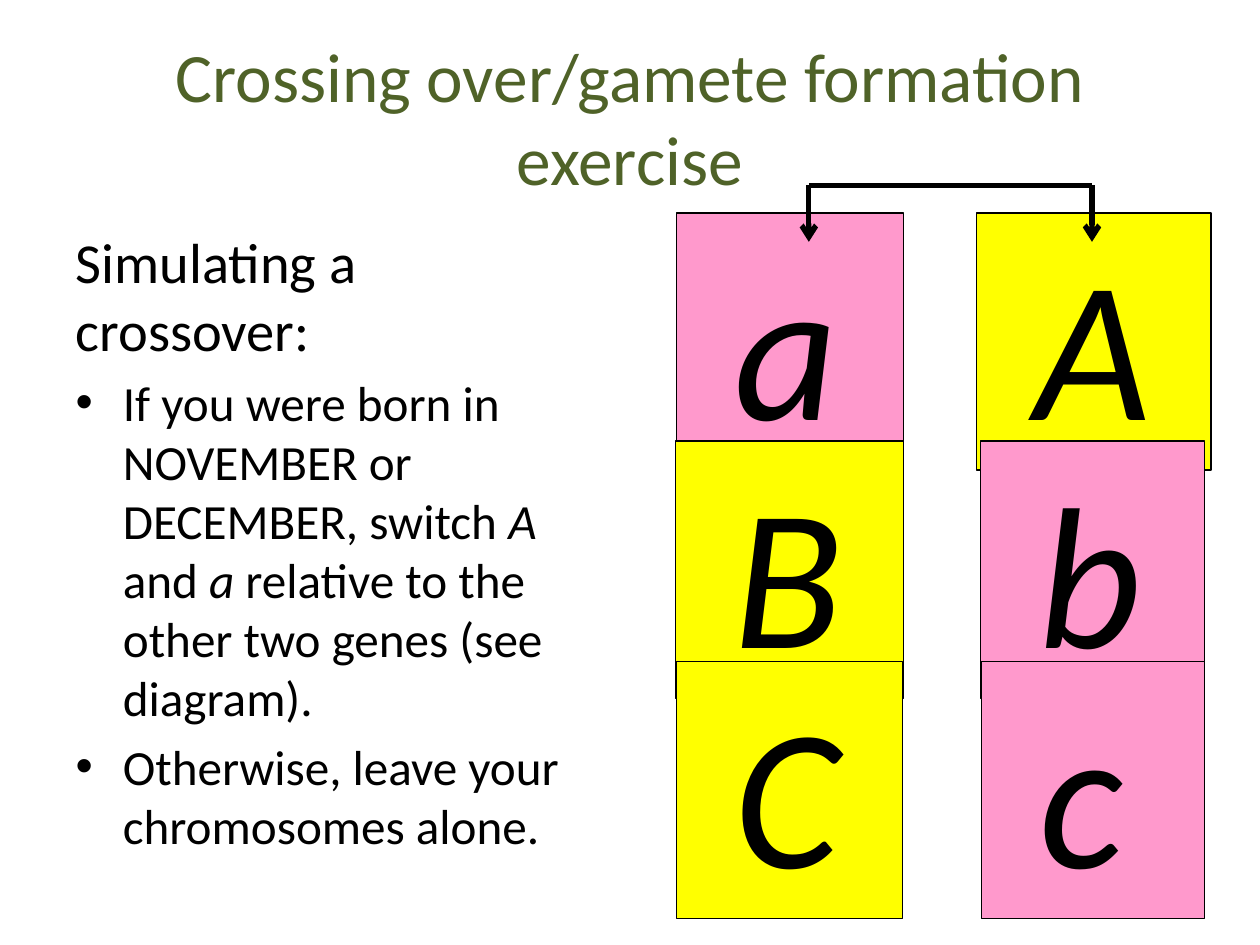
from dataclasses import dataclass

from lxml.etree import SubElement
from pptx import Presentation
from pptx.dml.color import RGBColor
from pptx.enum.shapes import MSO_CONNECTOR as Connector, MSO_SHAPE as Preset
from pptx.enum.text import MSO_ANCHOR as Anchor, MSO_AUTO_SIZE as AutoSize, PP_ALIGN as Align
from pptx.oxml.ns import qn
from pptx.util import Pt


@dataclass(frozen=True)
class Theme:
    font: str = "Calibri"
    ink: RGBColor = RGBColor(0x00, 0x00, 0x00)
    title: RGBColor = RGBColor(0x4F, 0x62, 0x28)
    yellow: RGBColor = RGBColor(0xFF, 0xFF, 0x00)
    pink: RGBColor = RGBColor(0xFF, 0x99, 0xCC)
    title_size: float = 39.6
    lead_size: float = 32.3
    bullet_size: float = 28.1
    allele_size: float = 115


THEME = Theme()
ROW_TOPS = (121.7, 252, 378)
ALLELE_HEIGHT = 147
# allele, row, left, width, colour; later cards overlap earlier ones
ALLELES = (
    ("A", 0, 558, 134, THEME.yellow),
    ("a", 0, 386.6, 129.6, THEME.pink),
    ("B", 1, 386, 130.2, THEME.yellow),
    ("C", 2, 386.6, 129, THEME.yellow),
    ("b", 1, 560.2, 128.2, THEME.pink),
    ("c", 2, 560.9, 127.4, THEME.pink),
)
LEAD = "Simulating a crossover:"
# each bullet is a list of (text, italic) runs
BULLETS = (
    [
        ("If you were born in NOVEMBER or DECEMBER, switch ", False),
        ("A ", True),
        ("and ", False),
        ("a", True),
        (" relative to the other two genes (see diagram).", False),
    ],
    [("Otherwise, leave your chromosomes alone.", False)],
)


def set_all(target, values):
    for name, value in values.items():
        setattr(target, name, value)


def set_font(font, size, color=THEME.ink, italic=False):
    set_all(font, {"name": THEME.font, "size": Pt(size), "italic": italic})
    font.color.rgb = color


def place(shape, left, top, width, height):
    set_all(shape, {"left": Pt(left), "top": Pt(top), "width": Pt(width), "height": Pt(height)})


def fill_title(title):
    place(title, 36, 21.6, 648, 90)
    frame = title.text_frame
    set_all(frame, {"auto_size": AutoSize.NONE, "vertical_anchor": Anchor.MIDDLE, "word_wrap": True})
    paragraph = frame.paragraphs[0]
    paragraph.alignment = Align.CENTER
    run = paragraph.add_run()
    run.text = "Crossing over/gamete formation exercise"
    set_font(run.font, THEME.title_size, THEME.title)


def remove_bullet(paragraph):
    properties = paragraph._p.get_or_add_pPr()
    properties.set("marL", "0")
    properties.set("indent", "0")
    SubElement(properties, qn("a:buNone"))


def fill_body(body):
    place(body, 36, 126, 300, 356.4)
    frame = body.text_frame
    set_all(frame, {"auto_size": AutoSize.NONE, "word_wrap": True})
    lead = frame.paragraphs[0]
    lead.space_before = Pt(0)
    remove_bullet(lead)
    run = lead.add_run()
    run.text = LEAD
    set_font(run.font, THEME.lead_size)
    for runs in BULLETS:
        paragraph = frame.add_paragraph()
        paragraph.space_before = Pt(5.6)
        for text, italic in runs:
            run = paragraph.add_run()
            run.text = text
            set_font(run.font, THEME.bullet_size, italic=italic)


def add_allele(slide, allele, row, left, width, color):
    shape = slide.shapes.add_shape(
        Preset.RECTANGLE, Pt(left), Pt(ROW_TOPS[row]), Pt(width), Pt(ALLELE_HEIGHT))
    shape.shadow.inherit = False
    shape.fill.solid()
    shape.fill.fore_color.rgb = color
    shape.line.color.rgb = THEME.ink
    shape.line.width = Pt(0.75)
    frame = shape.text_frame
    set_all(frame, {"margin_left": Pt(33), "vertical_anchor": Anchor.TOP, "word_wrap": True})
    paragraph = frame.paragraphs[0]
    paragraph.alignment = Align.LEFT
    run = paragraph.add_run()
    run.text = allele
    set_font(run.font, THEME.allele_size, italic=True)


def add_line(shapes, start, end, arrow=False):
    line = shapes.add_connector(Connector.STRAIGHT, *map(Pt, start + end))
    line.line.color.rgb = THEME.ink
    line.line.width = Pt(3)
    if arrow:
        SubElement(line.line._get_or_add_ln(), qn("a:tailEnd"), type="arrow")
    SubElement(line._element.spPr, qn("a:effectLst"))


def add_switch_bracket(slide, left=462.2, right=624, top=106, bottom=138.2):
    """Join the two alleles that change places."""
    shapes = slide.shapes.add_group_shape().shapes
    add_line(shapes, (left, top), (right, top))
    for x in (left, right):
        add_line(shapes, (x, top), (x, bottom), arrow=True)


def main():
    presentation = Presentation()
    set_all(presentation, {"slide_width": Pt(720), "slide_height": Pt(540)})
    slide = presentation.slides.add_slide(presentation.slide_layouts[1])
    fill_title(slide.shapes.title)
    fill_body(slide.placeholders[1])
    for allele in ALLELES:
        add_allele(slide, *allele)
    add_switch_bracket(slide)
    presentation.save("out.pptx")


if __name__ == "__main__":
    main()
